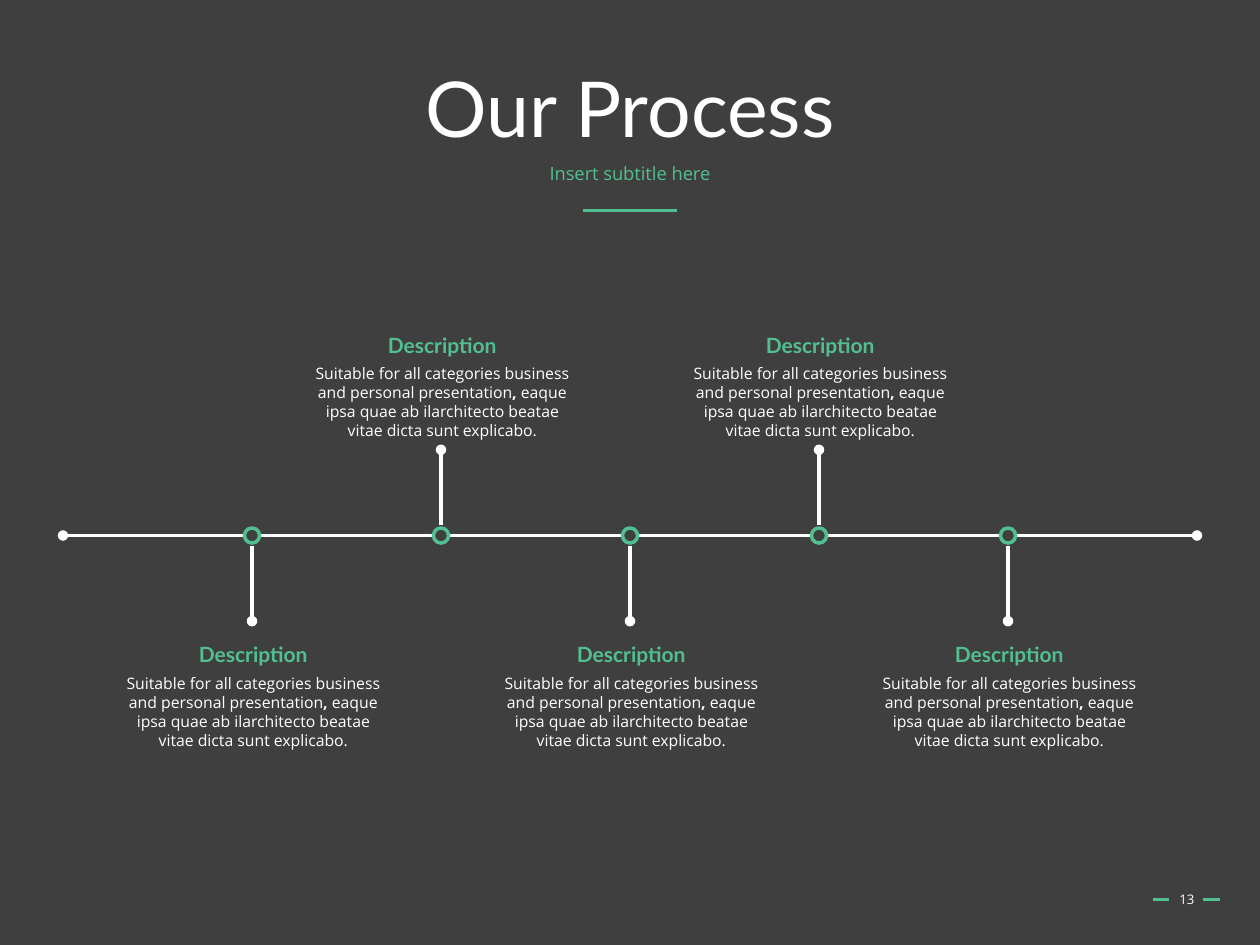
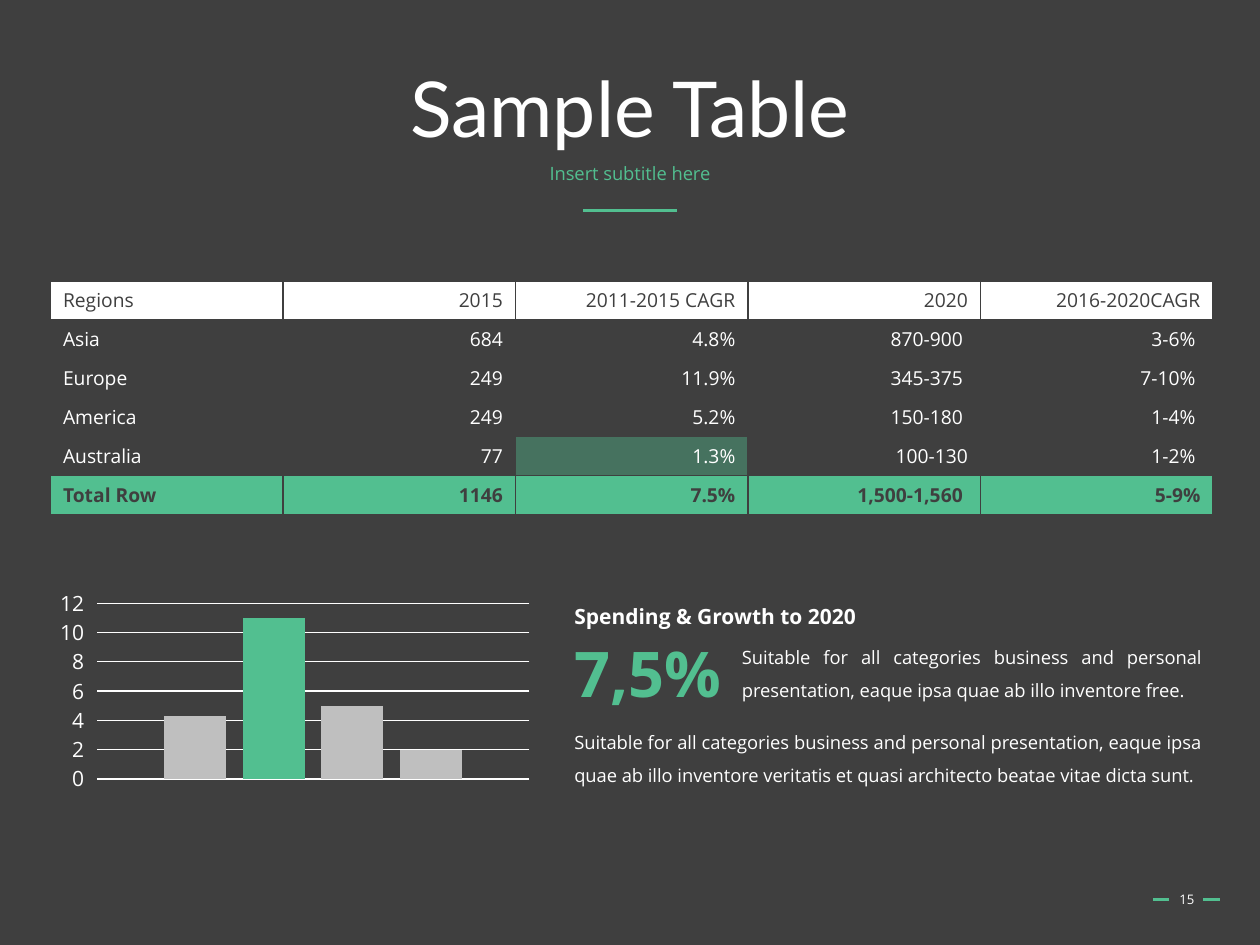
from collections import namedtuple

from lxml import etree
from pptx import Presentation
from pptx.chart.data import CategoryChartData
from pptx.dml.color import RGBColor
from pptx.enum.chart import XL_CHART_TYPE, XL_TICK_MARK
from pptx.enum.shapes import MSO_CONNECTOR, MSO_SHAPE
from pptx.enum.text import MSO_ANCHOR, MSO_AUTO_SIZE, PP_ALIGN
from pptx.oxml.ns import qn
from pptx.util import Inches, Pt

DARK = RGBColor(0x3F, 0x3F, 0x3F)
GREEN = RGBColor(0x52, 0xBF, 0x90)
WHITE = RGBColor(0xFF, 0xFF, 0xFF)
SILVER = RGBColor(0xBF, 0xBF, 0xBF)
HEAD_FONT, BODY_FONT = "Lato", "Open Sans"

LEFT, CENTER = PP_ALIGN.LEFT, PP_ALIGN.CENTER
RIGHT, JUSTIFY = PP_ALIGN.RIGHT, PP_ALIGN.JUSTIFY
MIDDLE = MSO_ANCHOR.MIDDLE
NO_FIT, GROW = MSO_AUTO_SIZE.NONE, MSO_AUTO_SIZE.SHAPE_TO_FIT_TEXT
STRAIGHT, OVAL = MSO_CONNECTOR.STRAIGHT, MSO_SHAPE.OVAL
COLUMNS = XL_CHART_TYPE.COLUMN_CLUSTERED
TICK_OUT = XL_TICK_MARK.OUTSIDE

Box = namedtuple("Box", "left top width height")
Style = namedtuple("Style", "size color bold font", defaults=(False, BODY_FONT))

TITLE = Style(44, WHITE, font=HEAD_FONT)
SUBTITLE = Style(10.5, GREEN)
PAGE_NUMBER = Style(7.5, WHITE)
STEP_LABEL = Style(12, GREEN, True, HEAD_FONT)
STEP_BODY = Style(9, WHITE)
STEP_COMMA = Style(9, WHITE, True)
CALLOUT_HEAD = Style(12, WHITE, True)
CALLOUT_FIGURE = Style(36, GREEN, True)
CALLOUT_BODY = Style(10.5, WHITE)
TABLE_HEAD = Style(11, DARK)
TABLE_BODY = Style(11, WHITE)
TABLE_TOTAL = Style(11, DARK, True)

STEP_SPANS = [
    ("Suitable for all categories business and personal presentation", STEP_BODY),
    (",", STEP_COMMA),
    (" eaque ipsa quae ab ilarchitecto beatae vitae dicta sunt explicabo.", STEP_BODY),
]
REGION_ROWS = [
    ["Regions", "2015", "2011-2015 CAGR", "2020", "2016-2020CAGR"],
    ["Asia", "684", "4.8%", "870-900 ", "3-6% "],
    ["Europe", "249", "11.9%", "345-375 ", "7-10% "],
    ["America", "249", "5.2%", "150-180 ", "1-4% "],
    ["Australia", "77", "1.3%", "100-130", "1-2% "],
    ["Total Row", "1146", "7.5%", "1,500-1,560 ", "5-9%"],
]
HIGHLIGHT = (4, 2)
GROWTH_VALUES = [4.3, 11, 5, 2]


def lengths(*values):
    """Convert numbers to inch lengths."""
    return [Inches(value) for value in values]


def style_font(font, style):
    """Apply a text style to a font."""
    font.name, font.size, font.bold = style.font, Pt(style.size), style.bold
    font.color.rgb = style.color


def write(para, spans, align=LEFT, spacing=None):
    """Fill a paragraph with styled runs."""
    para.alignment = align
    if spacing:
        para.line_spacing = spacing
    for text, style in spans:
        span = para.add_run()
        span.text = text
        style_font(span.font, style)


def add_text(page, box, spans, align=LEFT, spacing=None, wrap=True, fit=GROW):
    """Add a text box and return its frame."""
    frame = page.shapes.add_textbox(*lengths(*box)).text_frame
    frame.word_wrap, frame.auto_size = wrap, fit
    write(frame.paragraphs[0], spans, align, spacing)
    return frame


def add_line(page, start, end, color, width, ends=()):
    """Add a straight line with oval ends where named."""
    line = page.shapes.add_connector(STRAIGHT, *lengths(*start, *end))
    line.line.color.rgb, line.line.width = color, Pt(width)
    for name in ends:
        etree.SubElement(line.line._get_or_add_ln(), qn(f"a:{name}"), type="oval")
    etree.SubElement(line._element.spPr, qn("a:effectLst"))


def add_page(deck, title, number):
    """Add a slide with its heading, accent rule and page number."""
    page = deck.slides.add_slide(deck.slide_layouts.get_by_name("Title Only"))
    heading = page.shapes.title
    heading.left, heading.top, heading.width, heading.height = lengths(0.69, 0.4, 8.62, 0.98)
    heading.text_frame.auto_size = NO_FIT
    heading.text_frame.vertical_anchor = MIDDLE
    write(heading.text_frame.paragraphs[0], [(title, TITLE)], CENTER, 0.9)
    subtitle = add_text(page, Box(0.69, 1.26, 8.62, 0.4),
                        [("Insert subtitle here", SUBTITLE)], CENTER, 0.9, fit=NO_FIT)
    subtitle.paragraphs[0].space_before = Pt(10)
    footer = add_text(page, Box(9.2, 6.94, 0.44, 0.4),
                      [(str(number), PAGE_NUMBER)], CENTER, fit=NO_FIT)
    footer.vertical_anchor = MIDDLE
    for left, right, y in [(4.63, 5.37, 1.67), (9.15, 9.28, 7.14), (9.55, 9.68, 7.14)]:
        add_line(page, (left, y), (right, y), GREEN, 1.75)
    return page


def add_step(page, x, axis, above):
    """Add one timeline node with its stem, label and description."""
    side = -1 if above else 1
    size = 0.12
    node = page.shapes.add_shape(
        OVAL, *lengths(x - size / 2, axis - size / 2, size, size))
    node.shadow.inherit = False
    node.fill.solid()
    node.fill.fore_color.rgb = DARK
    node.line.color.rgb, node.line.width = GREEN, Pt(2)
    add_line(page, (x, axis + side * 0.08), (x, axis + side * 0.68), WHITE, 2, ["tailEnd"])
    label_top, body_top = (-1.66, -1.41) if above else (0.79, 1.05)
    center = x + 0.01
    add_text(page, Box(center - 1.14, axis + body_top, 2.28, 0.71), STEP_SPANS, CENTER)
    add_text(page, Box(center - 0.85, axis + label_top, 1.7, 0.3),
             [("Description", STEP_LABEL)], CENTER)


def add_timeline(page, box, steps=5):
    """Add the axis and its steps, alternating below and above."""
    axis = box.top + box.height / 2
    add_line(page, (box.left, axis), (box.left + box.width, axis), WHITE, 2,
             ["headEnd", "tailEnd"])
    pitch = box.width / (steps + 1)
    for index in range(steps):
        add_step(page, box.left + pitch * (index + 1), axis, index % 2 == 1)


def border_cell(cell):
    """Give a cell thin borders in the background colour."""
    properties = cell._tc.get_or_add_tcPr()
    for edge in ("lnL", "lnR", "lnT", "lnB"):
        border = etree.SubElement(properties, qn(f"a:{edge}"), w=str(Pt(1)))
        fill = etree.SubElement(border, qn("a:solidFill"))
        etree.SubElement(fill, qn("a:srgbClr"), val=str(DARK))


def fill_cell(cell, color, alpha=None):
    """Fill a cell, leaving it clear without a colour."""
    if color is None:
        cell.fill.background()
        return
    cell.fill.solid()
    cell.fill.fore_color.rgb = color
    if alpha:
        tone = cell._tc.tcPr.find(qn("a:solidFill")).find(qn("a:srgbClr"))
        etree.SubElement(tone, qn("a:alpha"), val=str(alpha * 1000))


def add_region_table(page, box):
    """Add the table of regions with header and total rows."""
    last = len(REGION_ROWS) - 1
    looks = {0: (TABLE_HEAD, WHITE), last: (TABLE_TOTAL, GREEN)}
    table = page.shapes.add_table(
        len(REGION_ROWS), len(REGION_ROWS[0]), *lengths(*box)).table
    table.first_row = table.horz_banding = False
    for row, values in enumerate(REGION_ROWS):
        style, color = looks.get(row, (TABLE_BODY, None))
        for column, value in enumerate(values):
            cell = table.cell(row, column)
            border_cell(cell)
            if (row, column) == HIGHLIGHT:
                fill_cell(cell, GREEN, 40)
            else:
                fill_cell(cell, color)
            write(cell.text_frame.paragraphs[0], [(value, style)],
                  RIGHT if column else LEFT)


def add_growth_chart(page, box):
    """Add the column chart with its tallest column in green."""
    data = CategoryChartData()
    data.categories = ["1"]
    for number, value in enumerate(GROWTH_VALUES, 1):
        data.add_series(f"Series {number}", [value])
    chart = page.shapes.add_chart(COLUMNS, *lengths(*box), data).chart
    chart.has_legend = chart.has_title = False
    style_font(chart.font, Style(10, WHITE))
    chart.category_axis.visible = False
    axis = chart.value_axis
    axis.minimum_scale, axis.maximum_scale, axis.major_unit = 0, 12, 2
    axis.major_tick_mark = TICK_OUT
    style_font(axis.tick_labels.font, Style(12, WHITE))
    axis.format.line.fill.background()
    grid = axis.major_gridlines.format.line
    grid.color.rgb, grid.width = WHITE, Pt(0.75)
    plot = chart.plots[0]
    plot.vary_by_categories = False
    plot.gap_width, plot.overlap = 219, -27
    for series, value in zip(plot.series, GROWTH_VALUES):
        series.format.fill.solid()
        series.format.fill.fore_color.rgb = GREEN if value == max(GROWTH_VALUES) else SILVER


def add_callout(page, box):
    """Add the growth figure with its heading and texts."""
    left, top, width, _ = box
    add_text(page, Box(left, top, 4.29, 0.4),
             [("Spending & Growth to 2020", CALLOUT_HEAD)], JUSTIFY, 1.5)
    add_text(page, Box(left, top + 0.35, 1.38, 0.71), [("7,5%", CALLOUT_FIGURE)], wrap=False)
    add_text(page, Box(left + 1.33, top + 0.35, width - 1.33, 0.63),
             [("Suitable for all categories business and personal presentation, "
               "eaque ipsa quae ab illo inventore free.", CALLOUT_BODY)], JUSTIFY, 1.5)
    add_text(page, Box(left, top + 1.03, width, 0.9),
             [("Suitable for all categories business and personal presentation, "
               "eaque ipsa quae ab illo inventore veritatis et quasi architecto "
               "beatae vitae dicta sunt.", CALLOUT_BODY)], JUSTIFY, 1.5)


def main():
    """Build and save the deck."""
    deck = Presentation()
    deck.slide_width, deck.slide_height = lengths(10, 7.5)
    backdrop = deck.slide_master.background.fill
    backdrop.solid()
    backdrop.fore_color.rgb = DARK

    process = add_page(deck, "Our Process", 13)
    add_timeline(process, Box(0.5, 2.5, 9, 3.5))

    sample = add_page(deck, "Sample Table", 15)
    add_region_table(sample, Box(0.4, 2.23, 9.23, 1.8))
    add_growth_chart(sample, Box(0.4, 4.64, 3.88, 1.69))
    add_callout(sample, Box(4.46, 4.64, 5.18, 1.93))

    deck.save("out.pptx")


if __name__ == "__main__":
    main()
